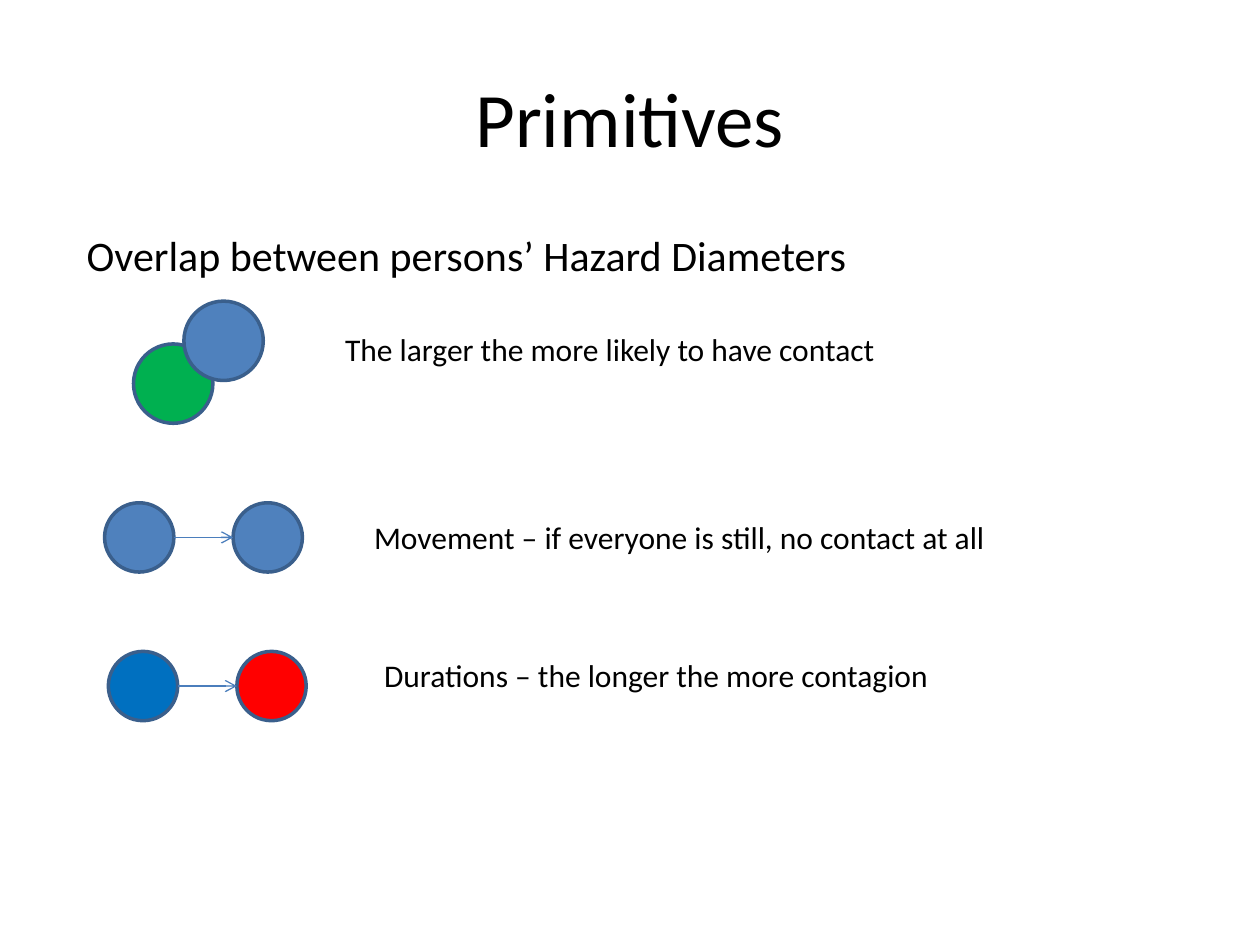
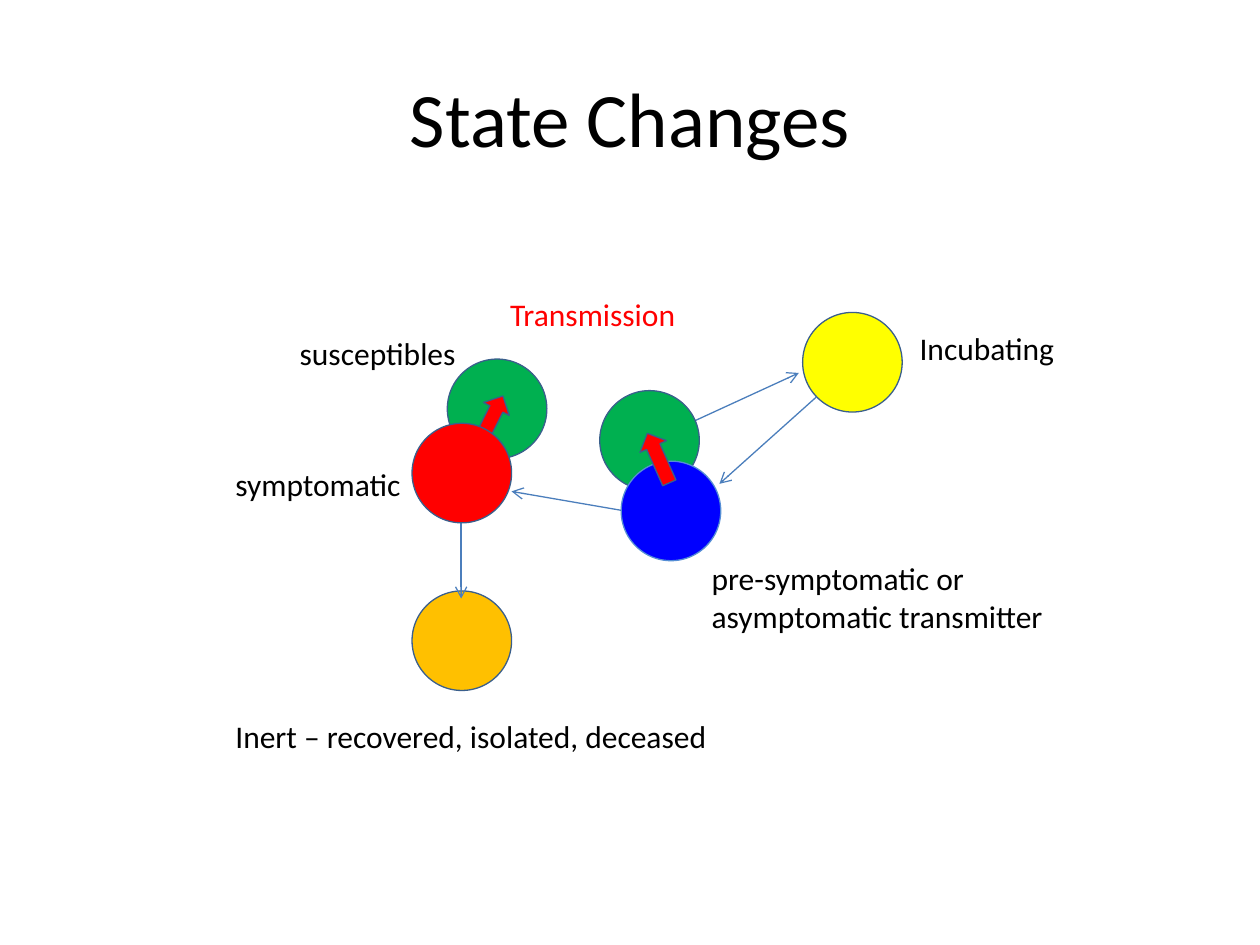
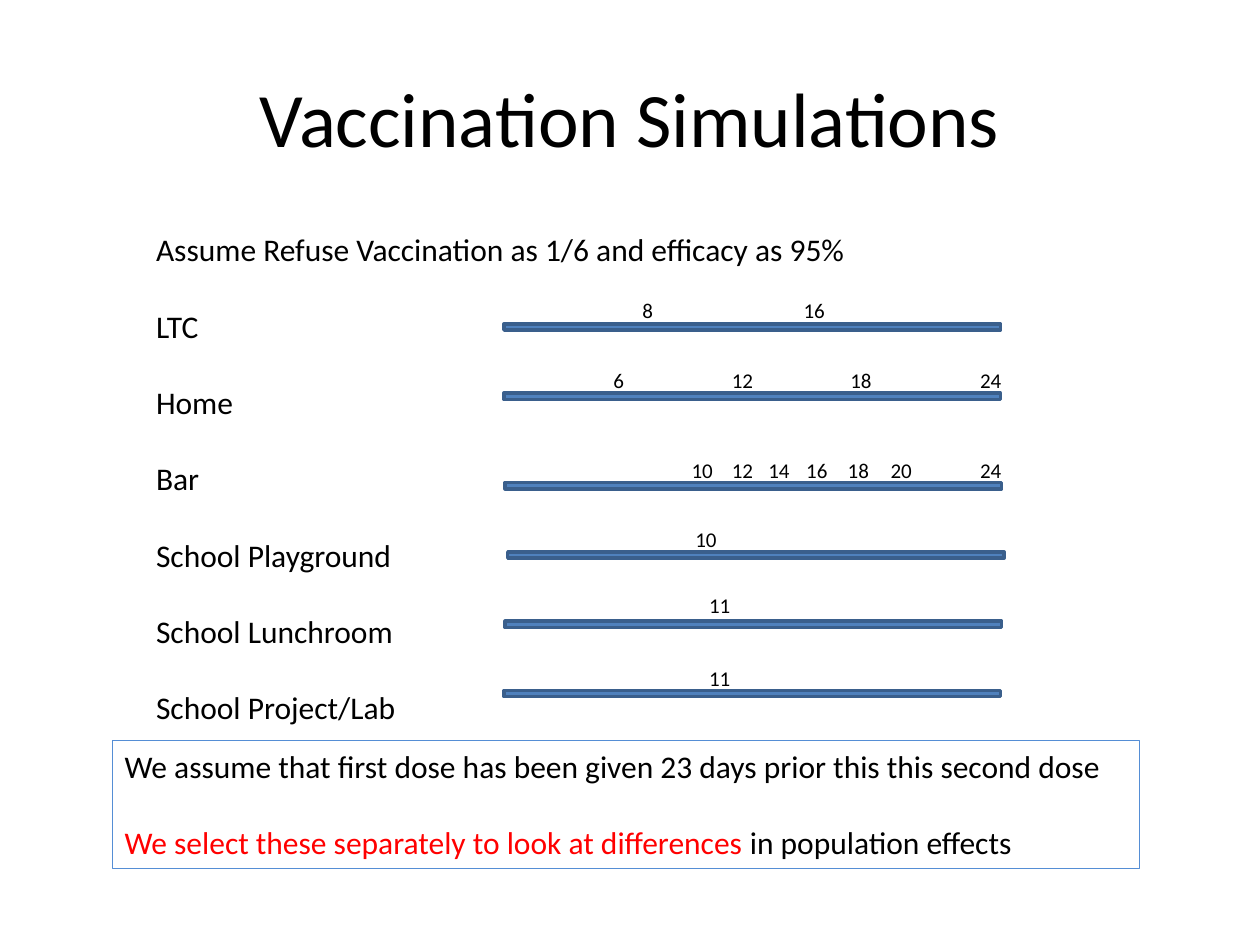
from lxml.etree import SubElement
from pptx import Presentation
from pptx.dml.color import RGBColor
from pptx.enum.shapes import MSO_CONNECTOR, MSO_SHAPE
from pptx.enum.text import MSO_ANCHOR, MSO_AUTO_SIZE, PP_ALIGN
from pptx.oxml.ns import qn
from pptx.util import Inches, Pt

BLACK = RGBColor(0x00, 0x00, 0x00)
RED = RGBColor(0xFF, 0x00, 0x00)
GREEN = RGBColor(0x00, 0xB0, 0x50)
YELLOW = RGBColor(0xFF, 0xFF, 0x00)
ORANGE = RGBColor(0xFF, 0xC0, 0x00)
STEEL = RGBColor(0x4F, 0x81, 0xBD)
AZURE = RGBColor(0x00, 0x70, 0xC0)
BLUE = RGBColor(0x00, 0x00, 0xFF)
OUTLINE = RGBColor(0x3A, 0x5F, 0x8C)
ARROW = RGBColor(0x4B, 0x7E, 0xBC)
FRAME = RGBColor(0x55, 0x8E, 0xD5)

FONT = "Calibri"
COLUMNS, ROWS = 100, 75


def write(frame, paragraphs, size=18, color=BLACK, align=PP_ALIGN.LEFT, gap=0):
    for index, content in enumerate(paragraphs):
        para = frame.paragraphs[0] if index == 0 else frame.add_paragraph()
        para.alignment = align
        para.space_before = Pt(gap if index else 0)
        spans = [(content, color)] if isinstance(content, str) else content
        for text, span_color in spans:
            span = para.add_run()
            span.text = text
            span.font.name = FONT
            span.font.size = Pt(size)
            span.font.color.rgb = span_color


class Painter:
    def __init__(self):
        self.deck = Presentation()
        self.deck.slide_width = Inches(10)
        self.deck.slide_height = Inches(7.5)
        self.page = None

    def x(self, columns):
        return round(self.deck.slide_width * columns / COLUMNS)

    def y(self, rows):
        return round(self.deck.slide_height * rows / ROWS)

    def area(self, column, row, width, height):
        return self.x(column), self.y(row), self.x(width), self.y(height)

    def start(self, title):
        self.page = self.deck.slides.add_slide(self.deck.slide_layouts[5])
        box = self.page.shapes.title
        box.left, box.top, box.width, box.height = self.area(5, 3, 90, 12.5)
        box.text_frame.vertical_anchor = MSO_ANCHOR.MIDDLE
        write(box.text_frame, [title], size=44, align=PP_ALIGN.CENTER)

    def text(self, column, row, width, height, *paragraphs, wrap=False, **style):
        box = self.page.shapes.add_textbox(*self.area(column, row, width, height))
        box.text_frame.word_wrap = wrap
        box.text_frame.auto_size = MSO_AUTO_SIZE.SHAPE_TO_FIT_TEXT
        write(box.text_frame, paragraphs, **style)
        return box

    def shape(self, kind, column, row, width, height, fill, line=OUTLINE, weight=2):
        shape = self.page.shapes.add_shape(kind, *self.area(column, row, width, height))
        shape.shadow.inherit = False
        shape.fill.solid()
        shape.fill.fore_color.rgb = fill
        shape.line.color.rgb = line
        shape.line.width = Pt(weight)
        return shape

    def circle(self, column, row, size, fill, **style):
        return self.shape(MSO_SHAPE.OVAL, column, row, size, size, fill, **style)

    def block_arrow(self, column, row, angle):
        arrow = self.shape(MSO_SHAPE.RIGHT_ARROW, column, row, 4.3, 2.3, RED, weight=0)
        arrow.rotation = angle

    def arrow(self, start, end):
        line = self.page.shapes.add_connector(
            MSO_CONNECTOR.STRAIGHT,
            self.x(start[0]), self.y(start[1]), self.x(end[0]), self.y(end[1]))
        line.line.color.rgb = ARROW
        line.line.width = Pt(0.75)
        properties = line.line._get_or_add_ln()
        SubElement(properties, qn("a:tailEnd"), type="arrow")
        SubElement(line._element.spPr, qn("a:effectLst"))

    def contact_pair(self, column, row, first, second):
        size, step = 5.5, 10.2
        self.circle(column, row, size, first)
        self.circle(column + step, row, size, second)
        middle = row + size / 2
        self.arrow((column + size, middle), (column + step, middle))

    def timeline(self, column, row, label_row, marks):
        self.shape(MSO_SHAPE.RECTANGLE, column, row, 39.4, 0.5, STEEL)
        for day, place in marks:
            width = 2.9 if day < 10 else 3.7
            self.text(place, label_row, width, 3, str(day), size=12)


def primitives(painter):
    painter.start("Primitives")
    painter.text(5.9, 17.7, 85, 5, "Overlap between persons’ Hazard Diameters",
                 size=24, wrap=True)
    painter.circle(10.6, 27.3, 6.3, GREEN)
    painter.circle(14.6, 23.9, 6.3, STEEL)
    painter.text(26.4, 25.7, 44.6, 4, "The larger the more likely to have contact")
    painter.contact_pair(8.3, 39.9, STEEL, STEEL)
    painter.text(28.7, 40.6, 51.1, 4,
                 "Movement – if everyone is still, no contact at all")
    painter.contact_pair(8.6, 51.7, AZURE, RED)
    painter.text(29.5, 51.6, 48.8, 4, "Durations – the longer the more contagion",
                 wrap=True)


def state_changes(painter):
    painter.start("State Changes")
    size = 7.9
    painter.circle(35.5, 28.5, size, GREEN, weight=0)
    painter.arrow((54.7, 33.6), (63.4, 29.6))
    painter.circle(47.6, 31, size, GREEN, weight=0)
    painter.circle(49.3, 36.6, size, BLUE, line=FRAME, weight=0)
    painter.circle(63.7, 24.8, size, YELLOW, weight=0)
    painter.block_arrow(36.8, 32.2, 296.7)
    painter.arrow((64.8, 31.5), (57.1, 38.4))
    painter.arrow((49.3, 40.5), (40.6, 39))
    painter.circle(32.7, 46.9, size, ORANGE, weight=0)
    painter.arrow((36.6, 41.4), (36.6, 47.5))
    painter.circle(32.7, 33.6, size, RED, weight=0)
    painter.block_arrow(50.1, 35.2, 246.1)
    painter.text(39.5, 22.9, 15.2, 4, "Transmission", color=RED)
    painter.text(72, 25.6, 12.8, 4, "Incubating")
    painter.text(22.8, 26, 14.5, 4, "susceptibles")
    painter.text(17.7, 36.4, 15.3, 4, "symptomatic")
    painter.text(55.5, 43.9, 28.6, 7.1,
                 "pre-symptomatic or", "asymptomatic transmitter")
    painter.text(17.7, 56.4, 39.9, 4, "Inert – recovered, isolated, deceased")


def vaccination(painter):
    painter.start("Vaccination Simulations")
    blank_line = 22
    painter.text(11.4, 17.8, 57.4, 40.4,
                 "Assume Refuse Vaccination as 1/6 and efficacy as 95%",
                 "LTC", "Home", "Bar", "School Playground", "School Lunchroom",
                 "School Project/Lab", gap=blank_line)
    timelines = [
        (40, 25.7, 23.15, [(8, 50), (16, 62.8)]),
        (40, 31.2, 28.7, [(6, 47.7), (12, 57.1), (18, 66.5), (24, 76.8)]),
        (40.1, 38.3, 35.8, [(10, 53.9), (12, 57.1), (14, 60), (16, 63),
                            (18, 66.3), (20, 69.7), (24, 76.8)]),
        (40.3, 43.8, 41.3, [(10, 54.2)]),
        (40.1, 49.3, 46.5, [(11, 55.3)]),
        (40, 54.8, 52.3, [(11, 55.3)]),
    ]
    for timeline in timelines:
        painter.timeline(*timeline)
    note = painter.text(
        8.9, 58.8, 81.5, 10.1,
        "We assume that first dose has been given 23 days prior this this second dose",
        [("We select these separately to look at differences ", RED),
         ("in population effects", BLACK)],
        gap=blank_line)
    note.line.color.rgb = FRAME
    note.line.width = Pt(0.5)


painter = Painter()
for build in (primitives, state_changes, vaccination):
    build(painter)
painter.deck.save("out.pptx")
